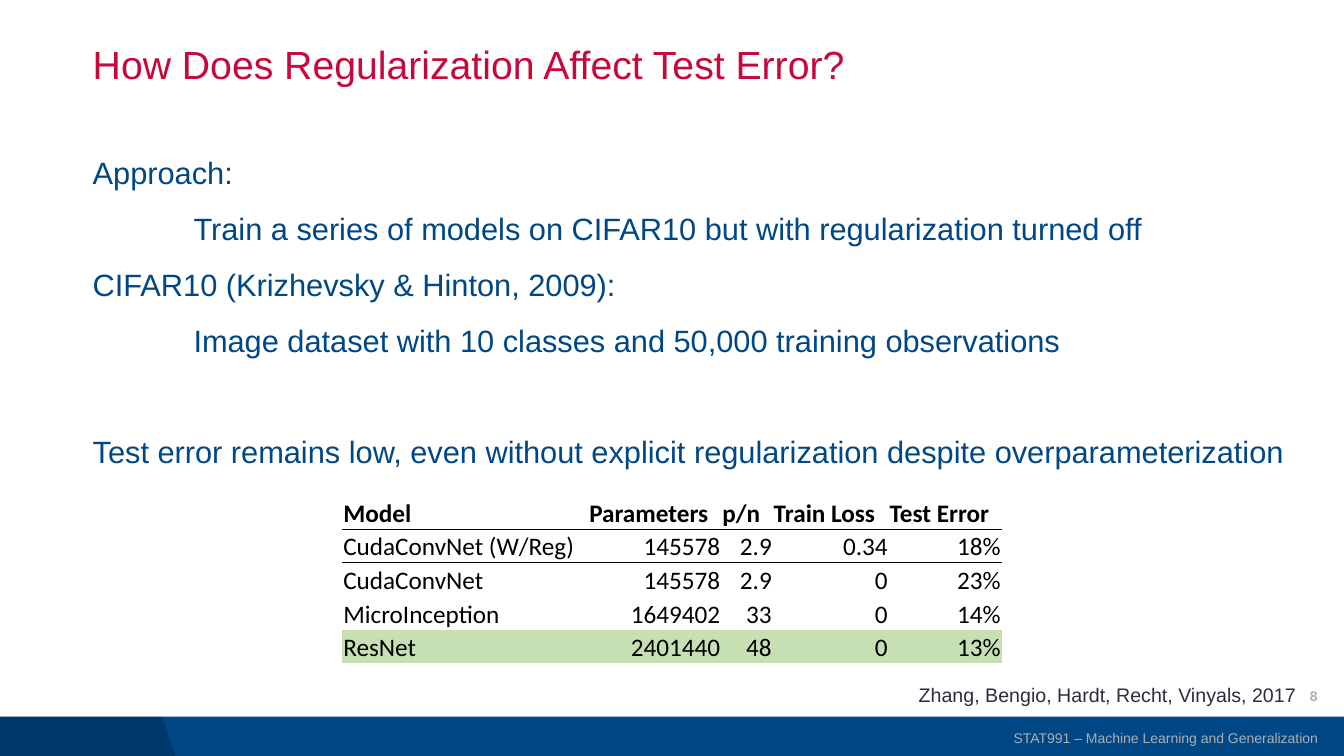
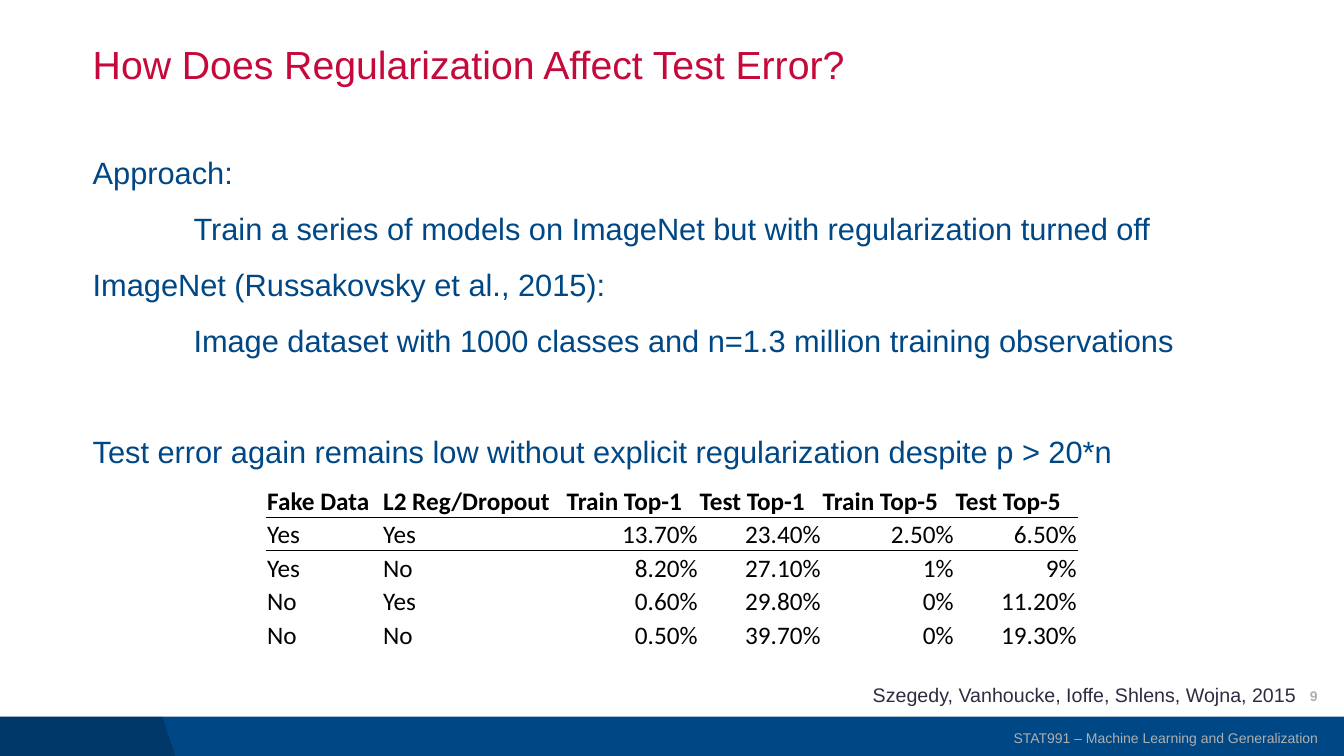
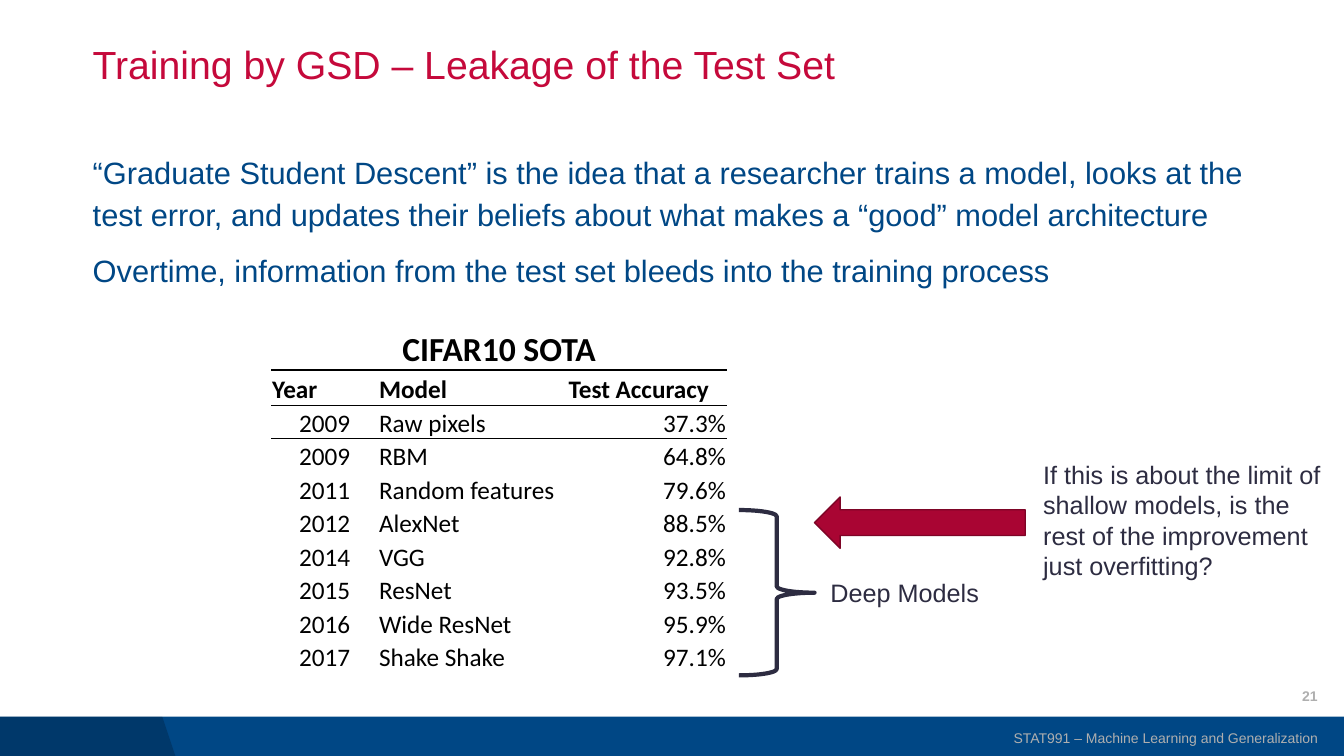
import dataclasses

import lxml.etree
import pptx
import pptx.dml.color
import pptx.enum.shapes
import pptx.enum.text
import pptx.oxml
import pptx.oxml.ns
import pptx.util

SHAPE = pptx.enum.shapes.MSO_SHAPE
ALIGN = pptx.enum.text.PP_ALIGN
ANCHOR = pptx.enum.text.MSO_ANCHOR
Pt = pptx.util.Pt
qn = pptx.oxml.ns.qn
ALIGNMENTS = {"l": ALIGN.LEFT, "c": ALIGN.CENTER, "r": ALIGN.RIGHT}
PLAIN_TABLE = "{2D5ABB26-0587-4C30-8999-92F81FD0307C}"


@dataclasses.dataclass(frozen=True)
class Theme:
    """Colours, fonts and type sizes of the deck."""
    blue: str = "004785"
    red: str = "C5093B"
    arrow: str = "A90533"
    arrow_edge: str = "7D0426"
    ink: str = "2D2C41"
    grey: str = "AFAFAF"
    black: str = "000000"
    highlight: str = "C6E0B4"
    text_font: str = "Arial"
    table_font: str = "Calibri"
    title: int = 28
    caption: int = 24
    body: int = 22
    label: int = 18
    source: int = 14
    small: int = 10


def rgb(colour):
    """Turn a hex string into a colour."""
    return pptx.dml.color.RGBColor.from_string(colour)


class Deck:
    """Holds the style and the current slide; lengths are percent of the slide."""

    left = 6.9
    right = 97.2
    header_row = 4.67
    data_row = 4.44

    def __init__(self, theme):
        """Start a widescreen presentation."""
        self.theme = theme
        self.show = pptx.Presentation()
        self.show.slide_width = pptx.util.Inches(13.33)
        self.show.slide_height = pptx.util.Inches(7.5)
        self.slide = None

    def x(self, share):
        """Convert a share of the width."""
        return round(self.show.slide_width * share / 100)

    def y(self, share):
        """Convert a share of the height."""
        return round(self.show.slide_height * share / 100)

    def box(self, left, top, width, height):
        """Convert a rectangle of shares."""
        return self.x(left), self.y(top), self.x(width), self.y(height)

    def style(self, paragraph, size, colour, bold=False, align="l", font=None):
        """Format one paragraph."""
        paragraph.alignment = ALIGNMENTS[align]
        paragraph.font.name = font or self.theme.text_font
        paragraph.font.size = Pt(size)
        paragraph.font.bold = bold
        paragraph.font.color.rgb = rgb(colour)

    def new_slide(self, title, number):
        """Add a slide with its title, band and footer."""
        self.slide = self.show.slides.add_slide(self.show.slide_layouts[5])
        heading = self.slide.shapes.title
        heading.left, heading.top, heading.width, heading.height = self.box(
            self.left, 5.33, 86.25, 7.07)
        frame = heading.text_frame
        frame.text = title
        frame.auto_size = pptx.enum.text.MSO_AUTO_SIZE.NONE
        frame.vertical_anchor = ANCHOR.TOP
        frame.margin_left = frame.margin_right = 0
        frame.paragraphs[0].line_spacing = 0.9
        self.style(frame.paragraphs[0], self.theme.title, self.theme.red)
        self.band()
        self.text("STAT991 – Machine Learning and Generalization",
                  (65.03, 94.93, 33.75, 5.33), self.theme.small, self.theme.grey,
                  align="r", anchor=ANCHOR.MIDDLE)
        self.text(str(number), (76.28, 89.33, 22.5, 5.33), self.theme.small,
                  self.theme.grey, bold=True, align="r", anchor=ANCHOR.MIDDLE)

    def band(self):
        """Draw the bottom band and its darker corner."""
        top = 94.8
        self.shape(SHAPE.RECTANGLE, (0, top, 100, 100 - top), fill=self.theme.blue)
        outline = self.slide.shapes.build_freeform(0, self.y(top))
        outline.add_line_segments([(self.x(12.08), self.y(top)),
                                   (self.x(13.05), self.y(100)), (0, self.y(100))])
        corner = outline.convert_to_shape()
        self.paint(corner, fill=self.theme.black)
        colour = corner.fill._xPr.find(qn("a:solidFill"))[0]
        lxml.etree.SubElement(colour, qn("a:alpha")).set("val", "20000")

    def paint(self, shape, fill=None, line=None, width=1):
        """Set fill and outline, leaving out what is not given."""
        shape.shadow.inherit = False
        if fill:
            shape.fill.solid()
            shape.fill.fore_color.rgb = rgb(fill)
        else:
            shape.fill.background()
        if line:
            shape.line.color.rgb = rgb(line)
            shape.line.width = Pt(width)
        else:
            shape.line.fill.background()

    def shape(self, kind, place, **paint):
        """Add a painted preset shape."""
        self.paint(self.slide.shapes.add_shape(kind, *self.box(*place)), **paint)

    def text(self, words, place, size, colour, bold=False, align="l", anchor=ANCHOR.TOP):
        """Add a one-paragraph text box."""
        frame = self.slide.shapes.add_textbox(*self.box(*place)).text_frame
        frame.word_wrap = True
        frame.vertical_anchor = anchor
        frame.text = words
        self.style(frame.paragraphs[0], size, colour, bold, align)

    def body(self, lines, width=90.3):
        """Add the main text from (words, indent in inches, space before) lines."""
        frame = self.slide.shapes.add_textbox(
            *self.box(self.left, 19.07, width, 63.47)).text_frame
        frame.word_wrap = True
        frame.margin_left = frame.margin_right = 0
        for position, (words, indent, before) in enumerate(lines):
            paragraph = frame.paragraphs[0] if position == 0 else frame.add_paragraph()
            paragraph.text = words
            paragraph.line_spacing = 1.13
            paragraph.space_before = Pt(before)
            paragraph.space_after = Pt(2)
            paragraph._p.get_or_add_pPr().set("marL", str(pptx.util.Inches(indent)))
            self.style(paragraph, self.theme.body, self.theme.blue)

    def citation(self, authors):
        """Add the source at the lower right."""
        width = 38.33
        self.text(authors, (self.right - width, 89.73, width, 4.53),
                  self.theme.source, self.theme.ink, align="r")

    def rule(self, cell, side):
        """Draw a thin line on one side of a cell."""
        edge = pptx.oxml.parse_xml(
            f'<a:{side} {pptx.oxml.ns.nsdecls("a")} w="12700"><a:solidFill>'
            f'<a:srgbClr val="{self.theme.black}"/></a:solidFill></a:{side}>')
        cell._tc.get_or_add_tcPr().insert(0, edge)

    def table(self, rows, widths, aligns, top, left=None, caption=None, highlight=None):
        """Add a ruled table, centred unless left is given."""
        left = (100 - sum(widths)) / 2 if left is None else left
        header = 1 if caption else 0
        if caption:
            rows = [[caption] + [""] * (len(widths) - 1)] + rows
        heights = [self.header_row if r <= header else self.data_row
                   for r in range(len(rows))]
        table = self.slide.shapes.add_table(
            len(rows), len(widths),
            *self.box(left, top, sum(widths), sum(heights))).table
        table.first_row = table.horz_banding = False
        table._tbl.tblPr.find(qn("a:tableStyleId")).text = PLAIN_TABLE
        for column, width in zip(table.columns, widths):
            column.width = self.x(width)
        for r, (row, height) in enumerate(zip(rows, heights)):
            table.rows[r].height = self.y(height)
            for c, words in enumerate(row):
                cell = table.cell(r, c)
                self.cell(cell, words, "l" if r <= header else aligns[c], r <= header,
                          self.theme.highlight if row[0] == highlight else None)
                if r <= header:
                    self.rule(cell, "lnB")
                if 0 < r <= header + 1:
                    self.rule(cell, "lnT")
        if caption:
            table.cell(0, 0).merge(table.cell(0, len(widths) - 1))
            self.style(table.cell(0, 0).text_frame.paragraphs[0], self.theme.caption,
                       self.theme.black, True, "c", self.theme.table_font)

    def cell(self, cell, words, align, bold, fill):
        """Fill and format one table cell."""
        cell.text = words
        cell.vertical_anchor = ANCHOR.BOTTOM
        cell.margin_left = cell.margin_right = cell.margin_top = pptx.util.Inches(0.01)
        cell.margin_bottom = 0
        if fill:
            cell.fill.solid()
            cell.fill.fore_color.rgb = rgb(fill)
        else:
            cell.fill.background()
        self.style(cell.text_frame.paragraphs[0], self.theme.label, self.theme.black,
                   bold, align, self.theme.table_font)


def regularization(deck, number, dataset, reference, description, finding, authors):
    """Lay out a slide on regularization and test error."""
    deck.new_slide("How Does Regularization Affect Test Error?", number)
    deck.body([
        ("Approach:", 0, 0),
        (f"Train a series of models on {dataset} but with regularization turned off", 1, 8),
        (f"{dataset} ({reference}):", 0, 8),
        (f"Image dataset with {description} training observations", 1, 8),
        (finding, 0, 48),
    ])
    deck.citation(authors)


def main():
    """Build the deck."""
    theme = Theme()
    deck = Deck(theme)

    regularization(
        deck, 8, "CIFAR10", "Krizhevsky & Hinton, 2009", "10 classes and 50,000",
        "Test error remains low, even without explicit regularization "
        "despite overparameterization",
        "Zhang, Bengio, Hardt, Recht, Vinyals, 2017")
    deck.table([
        ["Model", "Parameters", "p/n", "Train Loss", "Test Error"],
        ["CudaConvNet (W/Reg)", "145578", "2.9", "0.34", "18%"],
        ["CudaConvNet", "145578", "2.9", "0", "23%"],
        ["MicroInception", "1649402", "33", "0", "14%"],
        ["ResNet", "2401440", "48", "0", "13%"],
    ], [18.3, 9.9, 3.83, 8.63, 8.4], "lrrrr", top=65.33, highlight="ResNet")

    regularization(
        deck, 9, "ImageNet", "Russakovsky et al., 2015", "1000 classes and n=1.3 million",
        "Test error again remains low without explicit regularization despite p > 20*n",
        "Szegedy, Vanhoucke, Ioffe, Shlens, Wojna, 2015")
    deck.table([
        ["Fake Data", "L2 Reg/Dropout", "Train Top-1", "Test Top-1", "Train Top-5",
         "Test Top-5"],
        ["Yes", "Yes", "13.70%", "23.40%", "2.50%", "6.50%"],
        ["Yes", "No", "8.20%", "27.10%", "1%", "9%"],
        ["No", "Yes", "0.60%", "29.80%", "0%", "11.20%"],
        ["No", "No", "0.50%", "39.70%", "0%", "19.30%"],
    ], [8.63, 13.65, 9.9, 9.15, 9.9, 9.15], "llrrrr", top=63.73)

    deck.new_slide("Training by GSD – Leakage of the Test Set", 21)
    deck.body([
        ("“Graduate Student Descent” is the idea that a researcher trains a model, "
         "looks at the test error, and updates their beliefs about what makes a "
         "“good” model architecture", 0, 0),
        ("Overtime, information from the test set bleeds into the training process", 0, 8),
    ], width=86.25)
    deck.table([
        ["Year", "Model", "Test Accuracy"],
        ["2009", "Raw pixels", "37.3%"],
        ["2009", "RBM", "64.8%"],
        ["2011", "Random features", "79.6%"],
        ["2012", "AlexNet", "88.5%"],
        ["2014", "VGG", "92.8%"],
        ["2015", "ResNet", "93.5%"],
        ["2016", "Wide ResNet", "95.9%"],
        ["2017", "Shake Shake", "97.1%"],
    ], [7.95, 14.1, 11.85], "clr", top=43.47, left=20.18, caption="CIFAR10 SOTA")
    deck.shape(SHAPE.RIGHT_BRACE, (54.98, 67.47, 5.63, 21.87), line=theme.ink, width=3)
    deck.text("Deep Models", (61.05, 75.73, 12.68, 5.33), theme.label, theme.ink)
    deck.shape(SHAPE.LEFT_ARROW, (60.6, 65.73, 15.68, 6.8),
               fill=theme.arrow, line=theme.arrow_edge)
    deck.text("If this is about the limit of shallow models, is the rest of the "
              "improvement just overfitting?", (76.88, 60.13, 22.5, 17.47),
              theme.label, theme.ink)

    deck.show.save("out.pptx")


if __name__ == "__main__":
    main()
